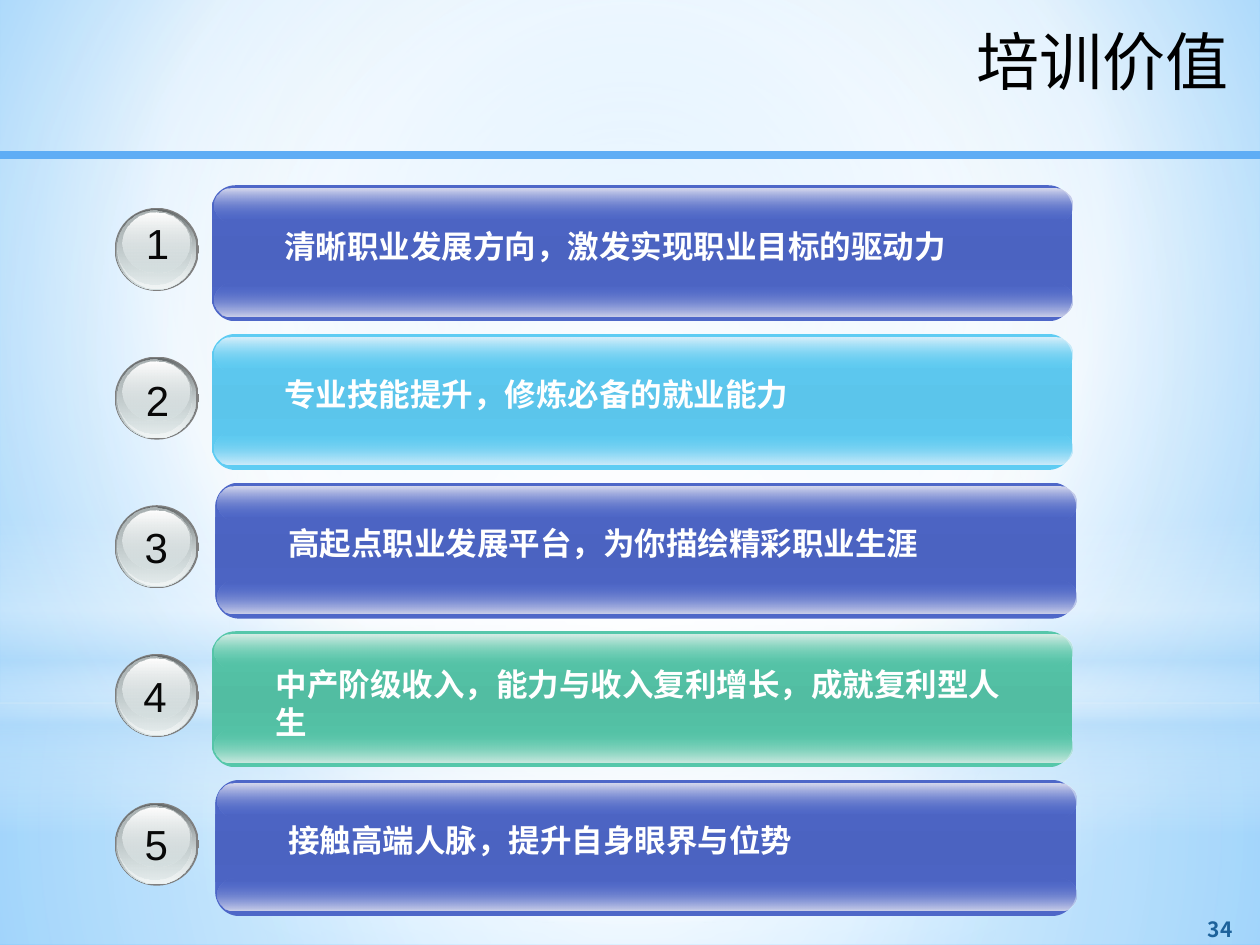
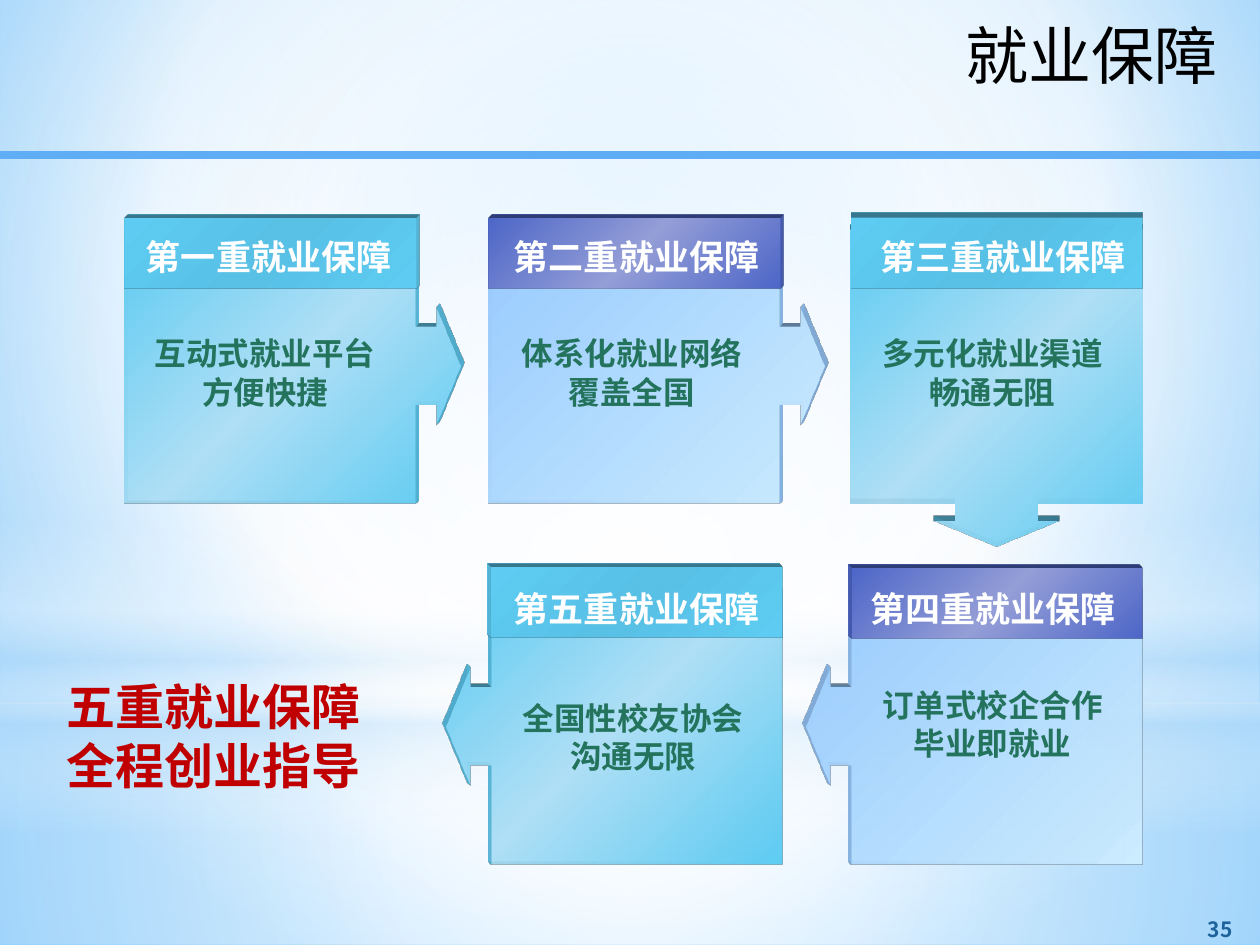
from copy import deepcopy
from lxml import etree
from pptx import Presentation, util as u
from pptx.dml.color import RGBColor
from pptx.enum import shapes as s, text as t
from pptx.oxml import ns


class Theme:
    blue, sky, green = "4E67C8", "5ECCF3", "56C7AA"
    pale, mist, white, steel = "99CCFF", "CCECFF", "FFFFFF", "D6E1E2"
    haze, rule, page, ink = "B4DCFA", "5FADF5", "1D629B", "000000"
    digit, body, alert = "080808", "23735D", "C00000"
    sans, latin = "Noto Sans CJK SC", "Arial"
    title, slogan, number, head, text, foot = 36, 28, 24, 20, 18, 12


W, H = 10, 7.5
KIND = s.MSO_SHAPE
ALIGN = t.PP_ALIGN


def form(slide, kind, box, stops, ang=90, focus=None, adj=(), tilt=None):
    """Add a borderless shape; stops are (percent, colour[, opacity]), tilt names a 3-D camera."""
    shape = slide.shapes.add_shape(kind, *map(u.Inches, box))
    shape.shadow.inherit = False
    shape.line.fill.background()
    for i, value in enumerate(adj):
        shape.adjustments[i] = value
    shape.fill.solid()
    props = shape._element.spPr
    solid = props.find(ns.qn("a:solidFill"))
    marks = "".join(
        f'<a:gs pos="{pos * 1000}"><a:srgbClr val="{color}">'
        f'<a:alpha val="{(rest or [100])[0] * 1000}"/></a:srgbClr></a:gs>'
        for pos, color, *rest in stops)
    if focus:
        sides = " ".join(f'{k}="{v * 1000}"' for k, v in zip("ltrb", focus))
        way = f'<a:path path="circle"><a:fillToRect {sides}/></a:path>'
    else:
        way = f'<a:lin ang="{ang * 60000}" scaled="0"/>'
    space = ns.nsdecls("a")
    props.replace(solid, etree.fromstring(
        f'<a:gradFill {space} rotWithShape="1"><a:gsLst>{marks}</a:gsLst>{way}</a:gradFill>'))
    if tilt:
        props.append(etree.fromstring(
            f'<a:scene3d {space}><a:camera prst="{tilt}"/>'
            '<a:lightRig rig="legacyFlat3" dir="b"/></a:scene3d>'))
        props.append(etree.fromstring(
            f'<a:sp3d {space} extrusionH="76200" prstMaterial="legacyMatte">'
            f'<a:extrusionClr><a:srgbClr val="{stops[0][1]}"/></a:extrusionClr></a:sp3d>'))
    return shape


def write(shape, lines, size, color, name=Theme.latin, bold=True, wrap=True,
          anchor=t.MSO_ANCHOR.TOP, **layout):
    """Fill a text shape; layout holds paragraph attributes."""
    frame = shape.text_frame
    frame.word_wrap, frame.vertical_anchor = wrap, anchor
    frame.auto_size = t.MSO_AUTO_SIZE.NONE
    frame.text = "\n".join(lines)
    for i, par in enumerate(frame.paragraphs):
        for key, value in layout.items():
            if key != "space_before" or i:
                setattr(par, key, value)
        run = par.runs[0]
        for key, value in dict(name=name, size=u.Pt(size), bold=bold).items():
            setattr(run.font, key, value)
        run.font.color.rgb = RGBColor.from_string(color)
        etree.SubElement(run._r.rPr, ns.qn("a:ea"), typeface=name)


prs = Presentation()
prs.slide_width, prs.slide_height = u.Inches(W), u.Inches(H)
master = prs.slide_master
worth, safe = [prs.slides.add_slide(prs.slide_layouts[5]) for _ in range(2)]

# Shared backdrop, built once and moved to the master
base = form(worth, KIND.RECTANGLE, (0, 0, W, H),
            [(0, "9ED5FF"), (60, Theme.white), (100, "5BB9FF")], focus=(20, 10, 20, 60))
master.background.fill.solid()
paint = master._element.cSld.find(".//" + ns.qn("p:bgPr"))
paint.replace(paint[0], deepcopy(base._element.spPr.find(ns.qn("a:gradFill"))))
base._element.getparent().remove(base._element)

mid = (50, 50, 50, 50)
white, haze = Theme.white, Theme.haze
decor = [
    form(worth, KIND.RECTANGLE, (0, 5.58, W, 1.92),
         [(0, white, 91), (37, white, 76), (100, haze, 79)], focus=mid),
    form(worth, KIND.RECTANGLE, (0, 0, W, 5.58),
         [(0, white, 89), (48, white, 62), (100, haze, 79)], focus=mid),
    form(worth, KIND.RECTANGLE, (0, 4.12, W, H / 3),
         [(0, white, 0), (29, white, 30), (45, haze, 40), (55, white, 26),
          (65, haze, 60), (100, white, 0)]),
    form(worth, KIND.OVAL, (0, 1.75, W, 5.58), [(0, white), (56, white, 0)], focus=mid)]
rule = worth.shapes.add_connector(
    s.MSO_CONNECTOR.STRAIGHT, *map(u.Inches, (-0.04, 1.23, 10.06, 1.23)))
rule.line.width = u.Pt(4.5)
rule.line.color.rgb = RGBColor.from_string(Theme.rule)
etree.SubElement(rule._element.spPr, ns.qn("a:effectLst"))
for i, item in enumerate(decor + [rule]):
    item._element.xpath(".//p:cNvPr")[0].set("id", str(100 + i))
    master.shapes._spTree.insert(2 + i, item._element)

# Titles and page numbers
for slide, title, page, box in ((worth, "培训价值", "34", (3.43, 0.13, 6.42, 1.02)),
                                (safe, "就业保障", "35", (3.34, 0.08, 6.42, 1.07))):
    head = slide.shapes.title
    for key, value in zip(("left", "top", "width", "height"), box):
        setattr(head, key, u.Inches(value))
    write(head, [title], Theme.title, Theme.ink, Theme.sans, False, alignment=ALIGN.RIGHT)
    foot = slide.shapes.add_textbox(*map(u.Inches, (9.25, 7.21, 0.87, 0.31)))
    write(foot, [page], Theme.foot, Theme.page, Theme.sans,
          anchor=t.MSO_ANCHOR.BOTTOM, alignment=ALIGN.CENTER)

# Slide 1: five numbered bars
top, pitch = 1.47, 1.18
steel = Theme.steel
rings = [((0, 0, 0.67, 0.66), [(0, "808080"), (100, "808080")]),
         ((0.01, 0.01, 0.64, 0.64), [(0, "636869"), (100, steel)]),
         ((0.02, 0.01, 0.62, 0.63), [(0, steel, 0), (100, "F1F5F5")]),
         ((0.02, 0.02, 0.59, 0.59), [(0, "AAB2B3"), (100, steel, 48)]),
         ((0.06, 0.04, 0.53, 0.47), [(0, white), (100, steel, 38)])]
# base colour: middle, lower gloss, upper gloss
gloss = {Theme.blue: ("4B63C1", "CED2EA", "D9DBEE"),
         Theme.sky: ("5BC5EB", "D1ECFA", "DAF0FB"),
         Theme.green: ("52BDA2", "CFEAE1", "DAEEE7")}
# words, colour, bar left, text left, text drop, number left, number drop
bars = [
    ("清晰职业发展方向，激发实现职业目标的驱动力", Theme.blue, 1.68, 2.16, 0.28, 1.04, 0.21),
    ("专业技能提升，修炼必备的就业能力", Theme.sky, 1.68, 2.16, 0.28, 1.04, 0.27),
    ("高起点职业发展平台，为你描绘精彩职业生涯", Theme.blue, 1.71, 2.19, 0.28, 1.03, 0.26),
    ("中产阶级收入，能力与收入复利增长，成就复利型人生", Theme.green, 1.68, 2.09, 0.22, 1.02, 0.26),
    ("接触高端人脉，提升自身眼界与位势", Theme.blue, 1.71, 2.19, 0.28, 1.03, 0.26)]
for i, (words, color, left, start, drop, spot, fall) in enumerate(bars):
    y = top + i * pitch
    core, low, high = gloss[color]
    form(worth, KIND.ROUNDED_RECTANGLE, (left, y, 6.83, 1.08),
         [(0, color), (50, core), (100, color)], adj=[0.175])
    for dy, stops in ((0.78, [(0, color, 0), (100, low)]),
                      (0.03, [(0, high), (100, color, 0)])):
        form(worth, KIND.ROUNDED_RECTANGLE, (left + 0.02, y + dy, 6.81, 0.26), stops, adj=[0.5])
    for (dx, dy, wide, tall), stops in rings:
        form(worth, KIND.OVAL, (0.91 + dx, y + 0.18 + dy, wide, tall), stops)
    num = worth.shapes.add_textbox(*map(u.Inches, (spot, y + fall, 0.42, 0.5)))
    write(num, [str(i + 1)], Theme.number, Theme.digit, bold=False, alignment=ALIGN.CENTER)
    label = worth.shapes.add_textbox(*map(u.Inches, (start, y + drop, 6.17, 0.4)))
    write(label, [words], Theme.text, white)

# Slide 2: five callouts in a loop
right, left, up = ("legacyObliqueTop" + way for way in ("Right", "Left", ""))
sky = [(0, Theme.sky), (50, "B0E0F7", 90), (100, Theme.sky)]
ice = [(0, Theme.pale, 90), (100, Theme.mist)]
teal = [(0, Theme.sky), (50, "59C1E6"), (100, Theme.sky)]
navy = [(0, Theme.blue), (50, "949ED7"), (100, Theme.blue)]
tight = dict(line_spacing=0.6, space_before=u.Pt(9))
# order, body lines, tilt, arrow box, fills, header spot, header text spot, body box, spacing
cards = [
    ("一", ["互动式就业平台", "方便快捷"], right, (0.99, 1.81, 2.67, 2.19), sky, teal,
     (0.99, 1.73), (1.06, 1.82), (0.97, 2.71, 2.27, 0.63), tight),
    ("二", ["体系化就业网络", "覆盖全国"], right, (3.88, 1.81, 2.67, 2.19), ice, navy,
     (3.88, 1.73), (3.98, 1.82), (3.88, 2.71, 2.27, 0.63), tight),
    ("三", ["多元化就业渠道", "畅通无阻"], up, (6.65, 1.92, 2.52, 2.32), sky, teal,
     (6.76, 1.73), (6.89, 1.82), (6.74, 2.71, 2.27, 0.63), tight),
    ("四", ["订单式校企合作", "毕业即就业"], left, (6.4, 4.67, 2.67, 2.19), ice, navy,
     (6.76, 4.51), (6.81, 4.61), (6.74, 5.5, 2.27, 0.63), tight),
    ("五", ["全国性校友协会沟通无限"], left, (3.54, 4.67, 2.67, 2.19), sky, teal,
     (3.9, 4.5), (3.98, 4.61), (4.01, 5.5, 2.03, 0.71), {})]
for order, lines, tilt, box, fill, band, spot, start, area, gaps in cards:
    arrow = form(safe, KIND.RIGHT_ARROW_CALLOUT, box, fill, 45,
                 adj=(0.284, 0.215, 0.089, 0.865), tilt=tilt)
    if tilt == left:
        arrow._element.spPr.xfrm.set("flipH", "1")
    elif tilt == up:
        arrow.rotation = 90
    form(safe, KIND.RECTANGLE, (*spot, 2.31, 0.56), band, 45, tilt=tilt)
    head = safe.shapes.add_textbox(*map(u.Inches, (*start, 2.18, 0.44)))
    write(head, [f"第{order}重就业保障"], Theme.head, white, wrap=False)
    body = safe.shapes.add_textbox(*map(u.Inches, area))
    write(body, lines, Theme.text, Theme.body, alignment=ALIGN.CENTER, **gaps)

slogan = safe.shapes.add_textbox(*map(u.Inches, (0.43, 5.32, 3.03, 1.04)))
write(slogan, ["五重就业保障", "全程创业指导"], Theme.slogan, Theme.alert)

prs.save("out.pptx")
